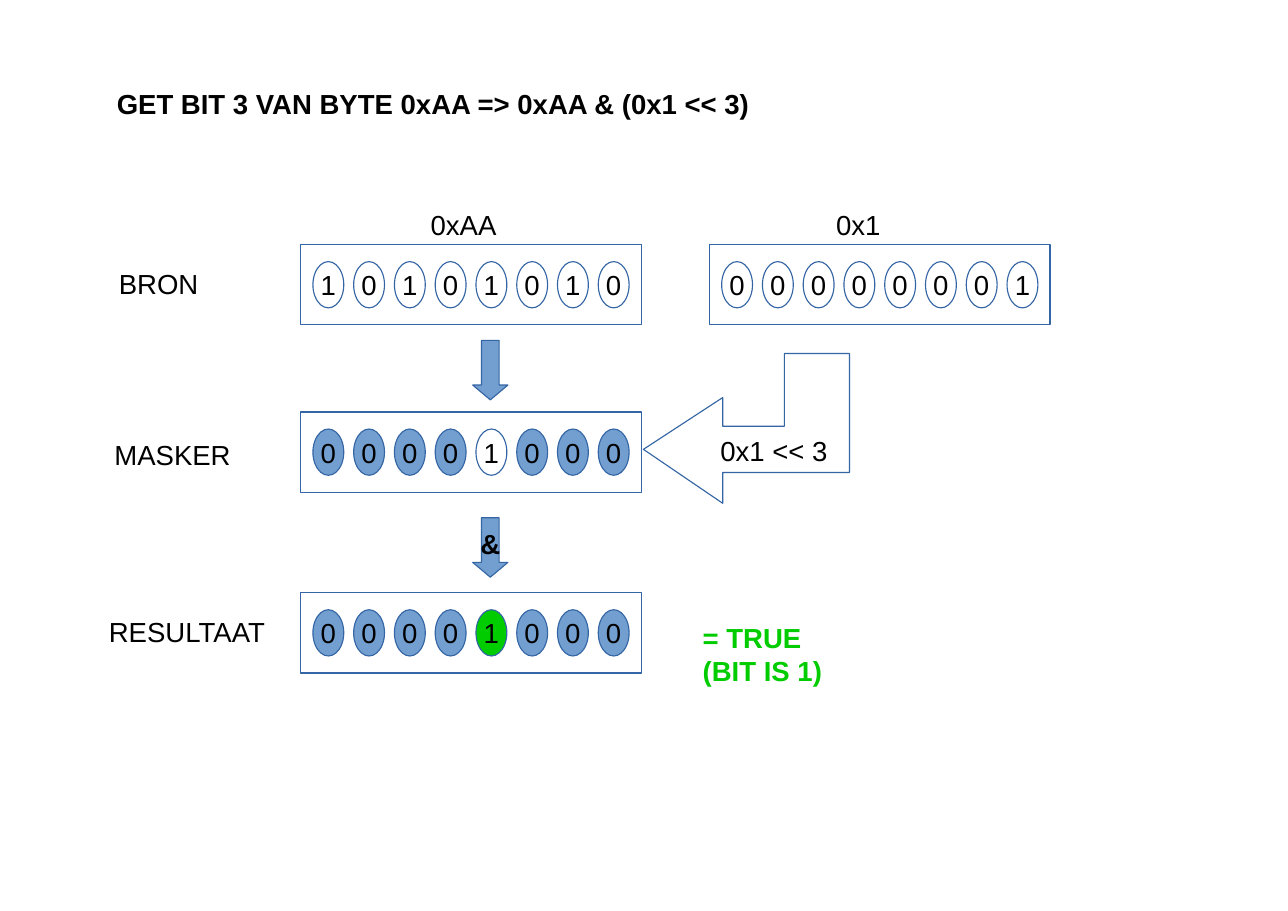
from dataclasses import dataclass
from typing import Optional

from pptx import Presentation
from pptx.dml.color import RGBColor
from pptx.enum.shapes import MSO_SHAPE
from pptx.enum.text import MSO_ANCHOR, MSO_AUTO_SIZE, PP_ALIGN
from pptx.shapes.autoshape import Shape
from pptx.slide import Slide
from pptx.text.text import TextFrame
from pptx.util import Emu, Inches, Pt

BLACK = RGBColor(0x00, 0x00, 0x00)
BLUE = RGBColor(0x72, 0x9F, 0xCF)
OUTLINE = RGBColor(0x34, 0x65, 0xA4)
GREEN = RGBColor(0x00, 0xCC, 0x00)

CELL = Inches(0.1)
BYTE_W, BYTE_H = 30.9, 7.3
BIT_W, BIT_H = 2.8, 4.2
BIT_DX, BIT_DY, BIT_STEP = 1.1, 1.55, 3.7
SOURCE_X, SHIFT_X = 27.3, 64.4
SOURCE_Y, MASK_Y, RESULT_Y = 22.2, 37.4, 53.8
TESTED = 4


@dataclass(frozen=True)
class Byte:
    """Eight bits in a frame, with fills for the tested bit and the others."""
    x: float
    y: float
    bits: str
    fill: Optional[RGBColor] = None
    tested_fill: Optional[RGBColor] = None


@dataclass(frozen=True)
class Label:
    """A left-aligned text box placed in grid cells."""
    text: str
    x: float
    y: float
    w: float
    h: float
    color: RGBColor = BLACK
    bold: bool = False


@dataclass(frozen=True)
class Arrow:
    """A step down from one byte to the next."""
    y: float
    text: str = ""


BYTES = [
    Byte(SOURCE_X, SOURCE_Y, "10101010"),
    Byte(SOURCE_X, MASK_Y, "00001000", BLUE),
    Byte(SOURCE_X, RESULT_Y, "00001000", BLUE, GREEN),
    Byte(SHIFT_X, SOURCE_Y, "00000001"),
]
ARROWS = [Arrow(30.9), Arrow(47, "&")]
LABELS = [
    Label("BRON", 9.8, 23.7, 9.8, 5.2),
    Label("MASKER", 9.4, 39.3, 13.4, 7.1),
    Label("RESULTAAT", 8.9, 55.3, 17.7, 7.1),
    Label("= TRUE (BIT IS 1)", 62.8, 55.9, 15, 8.6, GREEN, True),
    Label("0xAA", 38.1, 18.4, 8.9, 4),
    Label("0x1", 74.9, 18.4, 8, 4.3),
    Label("0x1 << 3", 64.4, 38.9, 13.8, 4.5),
]
TITLE = Label("GET BIT 3 VAN BYTE 0xAA => 0xAA & (0x1 << 3)",
              9.6, 7.4, 68, 6.6, bold=True)
SHIFT_ARROW = [(65.6, 36.1), (65.6, 38.7), (71.2, 38.7), (71.2, 32.1),
               (77.1, 32.1), (77.1, 42.9), (65.6, 42.9), (65.6, 45.7),
               (58.4, 40.8)]


def grid(*cells: float) -> list[Emu]:
    """Turn grid cells into lengths."""
    return [Emu(round(c * CELL)) for c in cells]


def write(tf: TextFrame, text: str, color: RGBColor = BLACK,
          bold: bool = False, align: PP_ALIGN = PP_ALIGN.LEFT) -> None:
    """Add one formatted run to the first paragraph."""
    p = tf.paragraphs[0]
    p.alignment = align
    r = p.add_run()
    r.text = text
    r.font.name = "Arial"
    r.font.size = Pt(18)
    r.font.bold = bold
    r.font.color.rgb = color


def style(sp: Shape, fill: Optional[RGBColor] = None) -> None:
    """Give a shape a hairline outline and an optional fill."""
    sp.shadow.inherit = False
    sp.line.color.rgb = OUTLINE
    sp.line.width = Pt(0)
    if fill is None:
        sp.fill.background()
    else:
        sp.fill.solid()
        sp.fill.fore_color.rgb = fill


def add_figure(s: Slide, kind: MSO_SHAPE, x: float, y: float, w: float,
               h: float, fill: Optional[RGBColor] = None, text: str = "",
               bold: bool = False) -> Shape:
    """Draw a preset shape with optional centred text."""
    sp = s.shapes.add_shape(kind, *grid(x, y, w, h))
    style(sp, fill)
    if text:
        tf = sp.text_frame
        tf.word_wrap = False
        tf.vertical_anchor = MSO_ANCHOR.MIDDLE
        write(tf, text, bold=bold, align=PP_ALIGN.CENTER)
    return sp


def add_byte(s: Slide, byte: Byte) -> None:
    """Draw a frame and its bits."""
    add_figure(s, MSO_SHAPE.RECTANGLE, byte.x, byte.y, BYTE_W, BYTE_H)
    for i, bit in enumerate(byte.bits):
        fill = byte.tested_fill if i == TESTED else byte.fill
        add_figure(s, MSO_SHAPE.OVAL, byte.x + BIT_DX + i * BIT_STEP,
                   byte.y + BIT_DY, BIT_W, BIT_H, fill, bit)


def add_arrow(s: Slide, arrow: Arrow) -> None:
    """Draw a down arrow under the tested bit."""
    sp = add_figure(s, MSO_SHAPE.DOWN_ARROW, 42.9, arrow.y, 3.2, 5.4,
                    BLUE, arrow.text, True)
    sp.adjustments[0] = 0.5
    sp.adjustments[1] = 0.42


def add_shift_arrow(s: Slide) -> None:
    """Draw the bent arrow from the shifted byte to the mask."""
    start, *rest = [tuple(grid(*point)) for point in SHIFT_ARROW]
    builder = s.shapes.build_freeform(*start)
    builder.add_line_segments(rest, close=True)
    style(builder.convert_to_shape())


def add_label(s: Slide, label: Label) -> None:
    """Add a wrapped text box."""
    sp = s.shapes.add_textbox(*grid(label.x, label.y, label.w, label.h))
    sp.text_frame.word_wrap = True
    write(sp.text_frame, label.text, label.color, label.bold)


def add_title(s: Slide) -> None:
    """Move and fill the title placeholder."""
    sp = s.shapes.title
    sp.left, sp.top, sp.width, sp.height = grid(TITLE.x, TITLE.y,
                                                TITLE.w, TITLE.h)
    tf = sp.text_frame
    tf.word_wrap = True
    tf.auto_size = MSO_AUTO_SIZE.NONE
    tf.vertical_anchor = MSO_ANCHOR.TOP
    write(tf, TITLE.text, TITLE.color, TITLE.bold)


def main() -> None:
    """Build the slide and save it."""
    prs = Presentation()
    prs.slide_width, prs.slide_height = Inches(11.69), Inches(8.27)
    s = prs.slides.add_slide(prs.slide_layouts[5])
    add_title(s)
    for byte in BYTES:
        add_byte(s, byte)
    for arrow in ARROWS:
        add_arrow(s, arrow)
    add_shift_arrow(s)
    for label in LABELS:
        add_label(s, label)
    prs.save("out.pptx")


if __name__ == "__main__":
    main()
